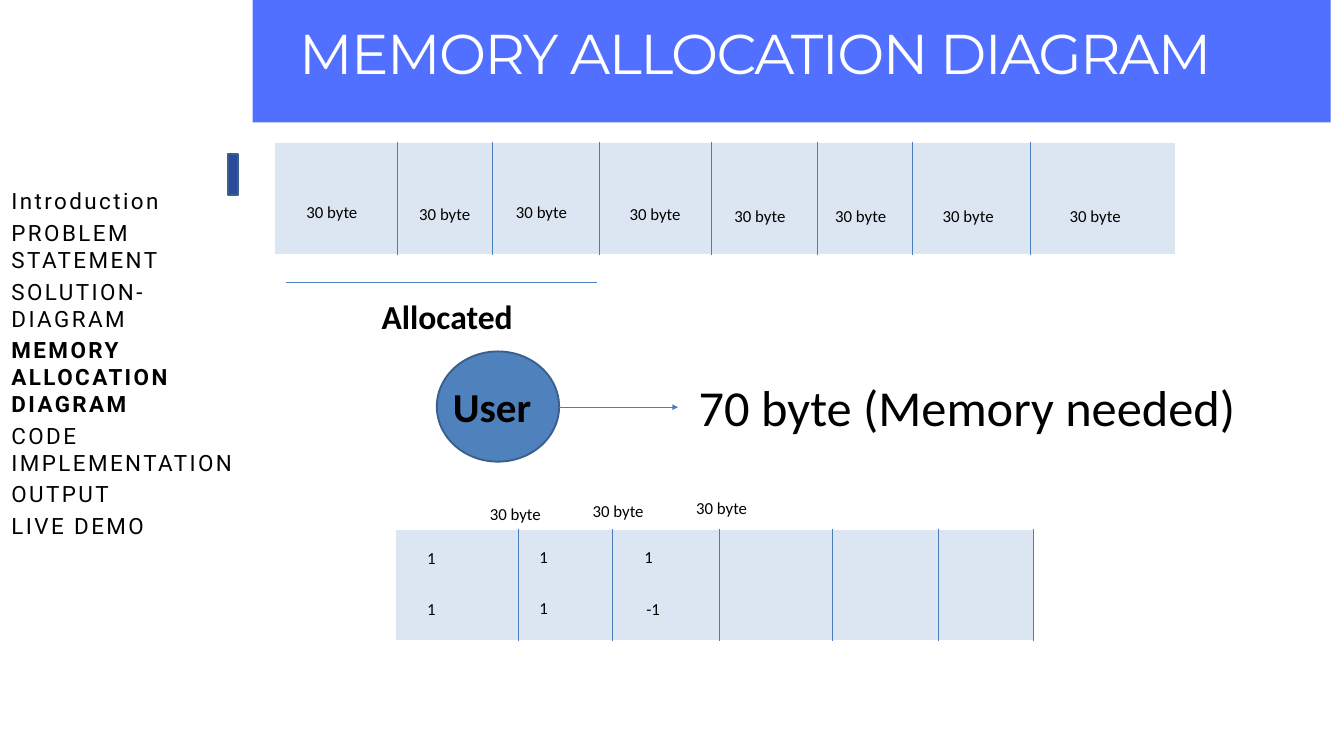
"""Build the memory allocation diagram slide."""
from lxml import etree
from pptx import Presentation, util as u
from pptx.dml.color import RGBColor
from pptx.enum import shapes as kinds, text as txt
from pptx.oxml.ns import qn

PX = u.Inches(1) // 100
BLACK = RGBColor(0x00, 0x00, 0x00)
WHITE = RGBColor(0xFF, 0xFF, 0xFF)
BANNER = RGBColor(0x52, 0x70, 0xFF)
MARKER = RGBColor(0x2A, 0x4A, 0x9D)
OUTLINE = RGBColor(0x3A, 0x5F, 0x8C)
MEMORY = RGBColor(0xDC, 0xE6, 0xF2)
USER = RGBColor(0x4F, 0x81, 0xBD)
RULE = RGBColor(0x4B, 0x7E, 0xBC)

HEADING = "MEMORY ALLOCATION DIAGRAM"
AGENDA = ["Introduction", "PROBLEM STATEMENT", "SOLUTION- DIAGRAM", HEADING,
          "CODE IMPLEMENTATION", "OUTPUT", "LIVE DEMO"]
BLOCK = "30 byte"

MEMORY_ROWS = [
    {"box": (408, 212, 1342, 167), "dividers": [592, 733, 892, 1058, 1217, 1358, 1533]},
    {"box": (588, 787, 950, 167), "dividers": [771, 912, 1071, 1238, 1396, 1538]},
]
BLOCK_SPOTS = [(446, 296), (614, 298), (758, 296), (927, 298), (1083, 301), (1233, 301),
               (1393, 301), (1582, 301), (719, 744), (872, 740), (1026, 735)]
CELL_VALUES = [("1", 626, 810), ("1", 793, 809), ("1", 949, 809),
               ("1", 626, 886), ("1", 793, 885), ("-1", 952, 886)]
CAPTIONS = [
    ("Allocated", (558, 435, 330, 71), {"size": u.Pt(36), "bold": True}),
    ("User", (664, 563, 157, 84), {"size": u.Pt(44), "bold": True}),
    ("70 byte (Memory needed)", (1030, 555, 887, 101), {"size": u.Pt(54)}),
]
LABEL = {"name": "Calibri", "size": u.Pt(18), "bold": False}


def px(*lengths):
    return [length * PX for length in lengths]


def style(font, color, formats):
    for key, value in formats.items():
        setattr(font, key, value)
    font.color.rgb = color


def place(part, box):
    for key, value in zip(("left", "top", "width", "height"), px(*box)):
        setattr(part, key, value)


def add_block(slide, kind, box, fill, outline=None):
    block = slide.shapes.add_shape(kind, *px(*box))
    block.shadow.inherit = False
    block.fill.solid()
    block.fill.fore_color.rgb = fill
    if outline is None:
        block.line.fill.background()
    else:
        block.line.color.rgb = outline
        block.line.width = u.Pt(2)
    return block


def add_rule(slide, start, end, arrow=False):
    rule = slide.shapes.add_connector(kinds.MSO_CONNECTOR.STRAIGHT, *px(*start, *end))
    rule.line.color.rgb = RULE
    rule.line.width = u.Pt(0.75)
    properties = rule._element.spPr
    if arrow:
        etree.SubElement(properties.find(qn("a:ln")), qn("a:tailEnd"), type="triangle")
    etree.SubElement(properties, qn("a:effectLst"))


def add_label(slide, words, box, formats):
    label = slide.shapes.add_textbox(*px(*box))
    label.text_frame.word_wrap = False
    label.text_frame.auto_size = txt.MSO_AUTO_SIZE.SHAPE_TO_FIT_TEXT
    paragraph = label.text_frame.paragraphs[0]
    run = paragraph.add_run()
    run.text = words
    style(run.font, BLACK, {**LABEL, **formats})


def fill_placeholder(part, box, margins, lines, color, formats, tracking):
    place(part, box)
    frame = part.text_frame
    sides = ("margin_left", "margin_top", "margin_right", "margin_bottom")
    for side, value in zip(sides, px(*margins)):
        setattr(frame, side, value)
    frame.word_wrap = True
    frame.auto_size = txt.MSO_AUTO_SIZE.NONE
    frame.vertical_anchor = txt.MSO_ANCHOR.TOP
    for index, (words, bold) in enumerate(lines):
        paragraph = frame.add_paragraph() if index else frame.paragraphs[0]
        properties = paragraph._p.get_or_add_pPr()
        properties.set("marL", "0")
        properties.set("indent", "0")
        etree.SubElement(properties, qn("a:buNone"))
        paragraph.alignment = txt.PP_ALIGN.LEFT
        paragraph.space_before = u.Pt(5.2 if index else 0)
        run = paragraph.add_run()
        run.text = words
        style(run.font, color, {**formats, "bold": bold})
        run._r.get_or_add_rPr().set("spc", str(tracking))


def main():
    deck = Presentation()
    deck.slide_width, deck.slide_height = px(2000, 1125)
    slide = deck.slides.add_slide(deck.slide_layouts[1])
    title, agenda = slide.placeholders

    rectangle = kinds.MSO_SHAPE.RECTANGLE
    banner = add_block(slide, rectangle, (376, 0, 1604, 182), BANNER)
    slide.shapes._spTree.insert(2, banner._element)
    fill_placeholder(title, (150, 26, 1850, 102), (295, 1, 0, 0), [(HEADING, False)],
                     WHITE, {"name": "Montserrat", "size": u.Pt(60)}, -160)
    add_block(slide, rectangle, (339, 229, 15, 61), MARKER, OUTLINE)
    fill_placeholder(agenda, (13, 259, 358, 547), (4, 20, 0, 0),
                     [(item, item == HEADING) for item in AGENDA],
                     BLACK, {"name": "Roboto", "size": u.Pt(24)}, 260)

    for row in MEMORY_ROWS:
        add_block(slide, rectangle, row["box"], MEMORY, WHITE)
        top, height = row["box"][1], row["box"][3]
        for x in row["dividers"]:
            add_rule(slide, (x, top), (x, top + height))

    add_block(slide, kinds.MSO_SHAPE.OVAL, (650, 523, 182, 164), USER, OUTLINE)
    add_rule(slide, (832, 606), (1009, 606), arrow=True)
    add_rule(slide, (425, 420), (888, 420))

    for words, box, formats in CAPTIONS:
        add_label(slide, words, box, formats)
    for x, y in BLOCK_SPOTS:
        add_label(slide, BLOCK, (x, y, 103, 40), {})
    for value, x, y in CELL_VALUES:
        add_label(slide, value, (x, y, 25 + 9 * len(value), 40), {})

    deck.save("out.pptx")


if __name__ == "__main__":
    main()
